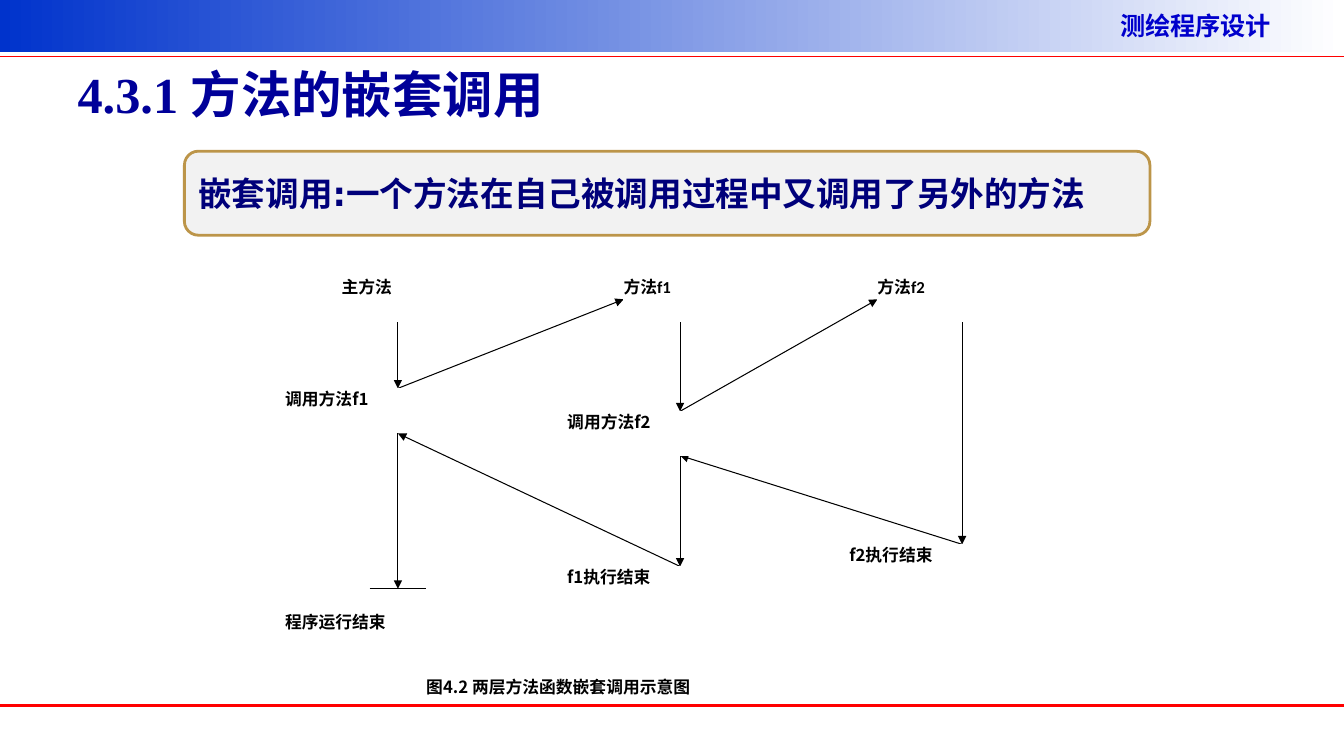
from lxml.etree import SubElement
from pptx import Presentation
from pptx.dml.color import RGBColor
from pptx.enum.shapes import MSO_CONNECTOR as Connector, MSO_SHAPE as Shape
from pptx.enum.text import MSO_ANCHOR as Anchor, PP_ALIGN as Align
from pptx.oxml.ns import qn
from pptx.util import Pt

COLORS = {
    "band": "0033CC", "course": "0000CC", "title": "000099", "definition": "00007A",
    "panel": "F2F2F2", "gold": "BC9549", "rule": "FF0000", "ink": "000000", "white": "FFFFFF",
}
CJK = "Noto Sans CJK SC"
WIDTH, HEIGHT = 960.48, 540
COURSE = "测绘程序设计"
TITLE = "4.3.1 方法的嵌套调用"
DEFINITION = "嵌套调用:一个方法在自己被调用过程中又调用了另外的方法"
CAPTION = "图4.2 两层方法函数嵌套调用示意图"

LANES = [284.4 + 201.6 * index for index in range(3)]
MAIN, F1, F2 = LANES
START, HEADER_MIDDLE, HEADER_TOP = 229.7, 213.8, 198
CALL_F1, CALL_F2 = 277.4, 293.8
BACK_MAIN, BACK_F1 = 309.6, 325.4
END_F2, END_F1, END_MAIN = 388.8, 404.6, 420.5
F1_LEFT, F2_LEFT = 445.7, 627.1
LABEL_HEIGHT, STEP_WIDTH, STEP_OFFSET = 31.7, 161.3, 80.6

ARROWS = [
    (MAIN, START, MAIN, CALL_F1),
    (MAIN, BACK_MAIN, MAIN, END_MAIN),
    (F1, START, F1, CALL_F2),
    (F1, BACK_F1, F1, END_F1),
    (MAIN, CALL_F1, F1_LEFT, HEADER_MIDDLE),
    (F1, CALL_F2, F2_LEFT, HEADER_MIDDLE),
    (F2, START, F2, END_F2),
    (F2, END_F2, F1, BACK_F1),
    (F1, END_F1, MAIN, BACK_MAIN),
]
HEADERS = [("主方法", 244.1, 80.6), ("方法f1", F1_LEFT, 100.8), ("方法f2", F2_LEFT, 100.8)]
STEPS = [
    ("程序运行结束", MAIN, 437, "Calibri"),
    ("调用方法f1", MAIN, CALL_F1, CJK),
    ("调用方法f2", F1, CALL_F2, CJK),
    ("f1执行结束", F1, END_F1, CJK),
    ("f2执行结束", F2, END_F2, CJK),
]


def rgb(name):
    return RGBColor.from_string(COLORS[name])


def write(box, text, size, font, color, margins=(7.2, 3.6), anchor=Anchor.TOP):
    frame = box.text_frame
    frame.word_wrap = True
    frame.vertical_anchor = anchor
    frame.margin_left = frame.margin_right = Pt(margins[0])
    frame.margin_top = frame.margin_bottom = Pt(margins[1])
    para = frame.paragraphs[0]
    para.alignment = Align.LEFT
    span = para.add_run()
    span.text = text
    span.font.size = Pt(size)
    span.font.bold = True
    span.font.name = font
    span.font.color.rgb = rgb(color)
    SubElement(span.font._element, qn("a:ea")).set("typeface", CJK)


def add_box(page, kind, left, top, width, height, fill, line, weight=0.75):
    box = page.shapes.add_shape(kind, Pt(left), Pt(top), Pt(width), Pt(height))
    box.shadow.inherit = False
    box.fill.solid()
    box.fill.fore_color.rgb = rgb(fill)
    box.line.color.rgb = rgb(line)
    box.line.width = Pt(weight)
    return box


def add_label(page, text, left, top, width, height, font):
    box = add_box(page, Shape.RECTANGLE, left, top, width, height, "white", "white")
    write(box, text, 12, font, "ink", margins=(0, 0))


def add_line(page, ends, color, weight, arrow=False):
    line = page.shapes.add_connector(Connector.STRAIGHT, *[Pt(value) for value in ends])
    line.line.color.rgb = rgb(color)
    line.line.width = Pt(weight)
    if arrow:
        SubElement(line.line._get_or_add_ln(), qn("a:tailEnd")).set("type", "triangle")
    SubElement(line._element.spPr, qn("a:effectLst"))


def add_frame(page):
    band = add_box(page, Shape.RECTANGLE, 0, 0, WIDTH, 37.4, "band", "band")
    band.line.fill.background()
    band.fill.gradient()
    band.fill.gradient_angle = 0
    for stop, color, position in zip(band.fill.gradient_stops, ("band", "white"), (0, 1)):
        stop.color.rgb = rgb(color)
        stop.position = position
    course = page.shapes.add_textbox(Pt(793.4), Pt(3.6), Pt(166), Pt(29))
    write(course, COURSE, 18, CJK, "course")
    for top, weight in ((40.3, 1), (504, 2.25)):
        add_line(page, (0, top, WIDTH, top), "rule", weight)


def add_heading(page):
    title = page.shapes.title
    title.left, title.top, title.width, title.height = Pt(48.2), Pt(21.6), Pt(864), Pt(90)
    write(title, TITLE, 36, "Times New Roman", "title", anchor=Anchor.MIDDLE)
    panel = add_box(page, Shape.ROUNDED_RECTANGLE, 131.8, 108, 690, 60, "panel", "gold", 2)
    write(panel, DEFINITION, 24, "DejaVu Sans", "definition", anchor=Anchor.MIDDLE)


def add_diagram(page):
    for ends in ARROWS:
        add_line(page, ends, "ink", 0.75, arrow=True)
    add_line(page, (MAIN - 20.2, END_MAIN, MAIN + 20.2, END_MAIN), "ink", 0.75)
    for text, left, width in HEADERS:
        add_label(page, text, left, HEADER_TOP, width, LABEL_HEIGHT, "Calibri")
    for text, lane, top, font in STEPS:
        add_label(page, text, lane - STEP_OFFSET, top, STEP_WIDTH, LABEL_HEIGHT, font)
    add_label(page, CAPTION, 304.6, 483.1, 382.3, 14.4, CJK)


def main():
    deck = Presentation()
    deck.slide_width, deck.slide_height = Pt(WIDTH), Pt(HEIGHT)
    page = deck.slides.add_slide(deck.slide_layouts[5])
    add_frame(page)
    add_heading(page)
    add_diagram(page)
    deck.save("out.pptx")


if __name__ == "__main__":
    main()
